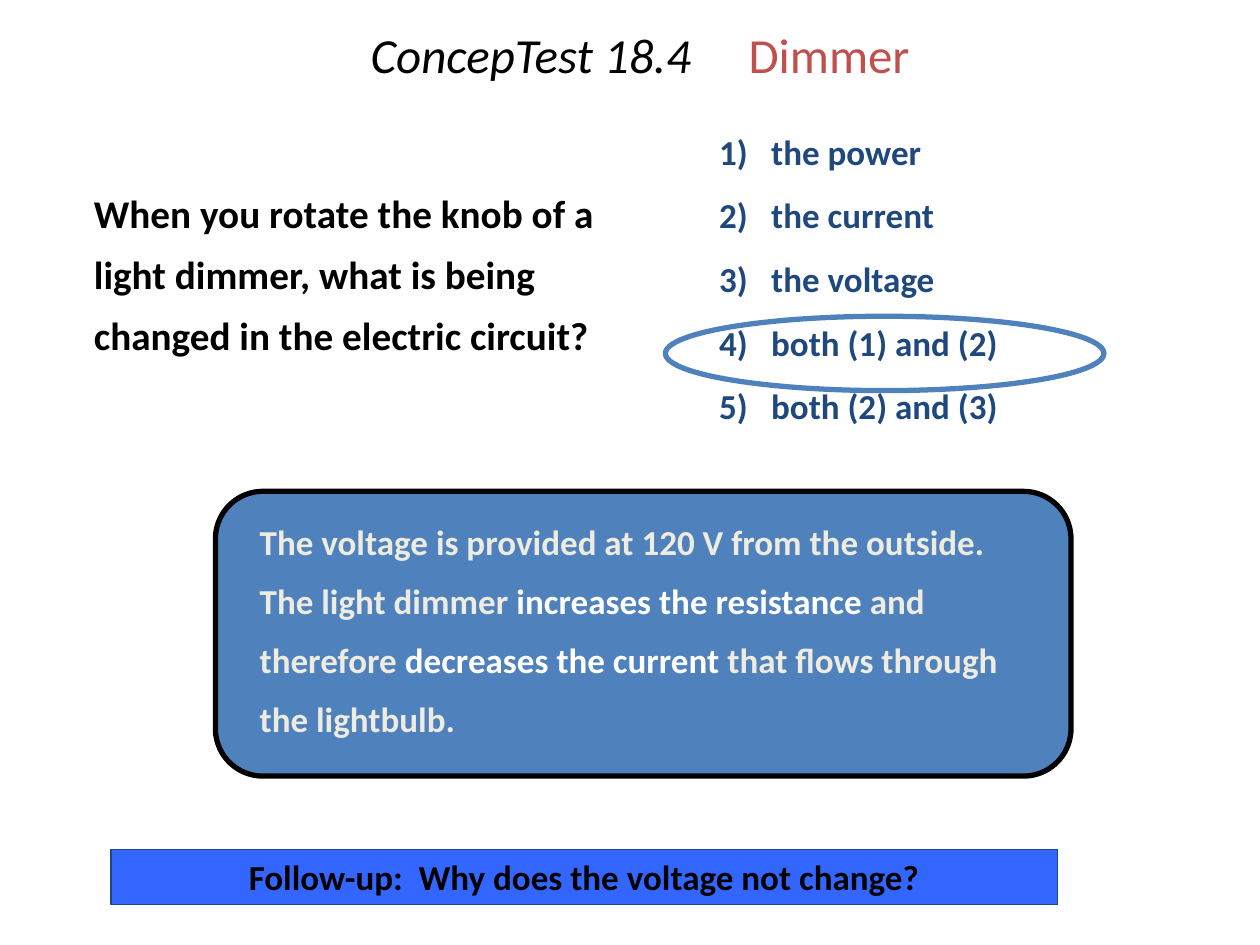
from dataclasses import dataclass
from typing import Optional

from lxml import etree
from pptx import Presentation
from pptx import util as u
from pptx.dml.color import RGBColor
from pptx.enum import shapes, text
from pptx.oxml import ns

COLORS = {
    "black": "000000",
    "white": "FFFFFF",
    "cream": "EEECE1",
    "red": "C0504D",
    "blue": "4F81BD",
    "navy": "1F497D",
    "bright": "3366FF",
}


@dataclass(frozen=True)
class Box:
    left: float
    top: float
    width: float
    height: float


@dataclass(frozen=True)
class Span:
    text: str
    color: str
    italic: bool = False


@dataclass(frozen=True)
class Style:
    size: float
    bold: bool = True
    align: text.PP_ALIGN = text.PP_ALIGN.LEFT
    anchor: text.MSO_ANCHOR = text.MSO_ANCHOR.TOP
    spacing: float = 1.0
    before: float = 0
    margin: float = 0
    hanging: float = 0
    tab: float = 0


@dataclass(frozen=True)
class Block:
    box: Box
    style: Style
    paragraphs: list[list[Span]]


@dataclass(frozen=True)
class Figure:
    kind: shapes.MSO_SHAPE
    box: Box
    fill: Optional[str]
    line: str
    weight: float


def rgb(name: str) -> RGBColor:
    return RGBColor.from_string(COLORS[name])


def place(box: Box) -> list[u.Length]:
    return [u.Pt(v) for v in (box.left, box.top, box.width, box.height)]


def write(tf, style: Style, paragraphs: list[list[Span]]) -> None:
    tf.word_wrap = True
    tf.vertical_anchor = style.anchor
    for i, spans in enumerate(paragraphs):
        p = tf.add_paragraph() if i else tf.paragraphs[0]
        pPr = p._p.get_or_add_pPr()
        pPr.set("marL", str(u.Pt(style.margin)))
        pPr.set("indent", str(u.Pt(-style.hanging)))
        if style.tab:
            tabs = etree.SubElement(pPr, ns.qn("a:tabLst"))
            etree.SubElement(tabs, ns.qn("a:tab"), pos=str(u.Pt(style.tab)), algn="l")
        p.alignment = style.align
        p.line_spacing = style.spacing
        if i:
            p.space_before = u.Pt(style.before)
        for span in spans:
            r = p.add_run()
            r.text = span.text
            r.font.name = "Calibri"
            r.font.size = u.Pt(style.size)
            r.font.bold = style.bold
            r.font.italic = span.italic
            r.font.color.rgb = rgb(span.color)


def add_block(s, block: Block) -> None:
    sp = s.shapes.add_textbox(*place(block.box))
    write(sp.text_frame, block.style, block.paragraphs)


def add_figure(s, figure: Figure):
    sp = s.shapes.add_shape(figure.kind, *place(figure.box))
    sp.shadow.inherit = False
    if figure.fill:
        sp.fill.solid()
        sp.fill.fore_color.rgb = rgb(figure.fill)
    else:
        sp.fill.background()
    sp.line.color.rgb = rgb(figure.line)
    sp.line.width = u.Pt(figure.weight)
    return sp


CENTER = text.PP_ALIGN.CENTER
MIDDLE = text.MSO_ANCHOR.MIDDLE
ANSWERS = ["the power", "the current", "the voltage", "both (1) and (2)", "both (2) and (3)"]

PANEL = Figure(shapes.MSO_SHAPE.ROUNDED_RECTANGLE, Box(123.1, 280.8, 488.9, 162.7), "blue", "black", 3)
ANSWER_RING = Figure(shapes.MSO_SHAPE.OVAL, Box(380.2, 180.7, 250.6, 42.5), None, "blue", 3)
FOLLOW_UP_BAR = Figure(shapes.MSO_SHAPE.RECTANGLE, Box(63.4, 485.3, 540.7, 31.7), "bright", "navy", 0.75)

EXPLANATION = Block(
    Box(118.8, 284.5, 483.1, 144.7),
    Style(20, spacing=1.4, margin=22.5),
    [[
        Span("The voltage is provided at 120 V from the outside. The light dimmer ", "cream"),
        Span("increases the resistance", "white"),
        Span(" and therefore ", "cream"),
        Span("decreases the current", "white"),
        Span(" that flows through the lightbulb.", "cream"),
    ]],
)
TITLE = Block(
    Box(49, 0, 633.6, 66.2),
    Style(28, bold=False, align=CENTER, anchor=MIDDLE, spacing=0.9, tab=216),
    [[Span("ConcepTest 18.4\t", "black", italic=True), Span("Dimmer", "red")]],
)
QUESTION = Block(
    Box(15.1, 96.5, 357.8, 126),
    Style(22.4, spacing=1.3, margin=31.5),
    [[Span(
        "When you rotate the knob of a light dimmer, what is being changed in the electric circuit?",
        "black",
    )]],
)
CHOICES = Block(
    Box(403.9, 68.4, 285.8, 187.2),
    Style(20, spacing=1.1, before=10, margin=29.7, hanging=29.7),
    [[Span(f"{n})\t{answer}", "navy")] for n, answer in enumerate(ANSWERS, 1)],
)


def main() -> None:
    prs = Presentation()
    prs.slide_width, prs.slide_height = u.Pt(720), u.Pt(540)
    s = prs.slides.add_slide(prs.slide_layouts[6])

    add_figure(s, PANEL)
    for block in (EXPLANATION, TITLE, QUESTION):
        add_block(s, block)
    add_figure(s, ANSWER_RING)
    add_block(s, CHOICES)
    bar = add_figure(s, FOLLOW_UP_BAR)
    write(
        bar.text_frame,
        Style(20, align=CENTER, anchor=MIDDLE),
        [[Span("Follow-up:  Why does the voltage not change?", "black")]],
    )
    prs.save("out.pptx")


if __name__ == "__main__":
    main()
